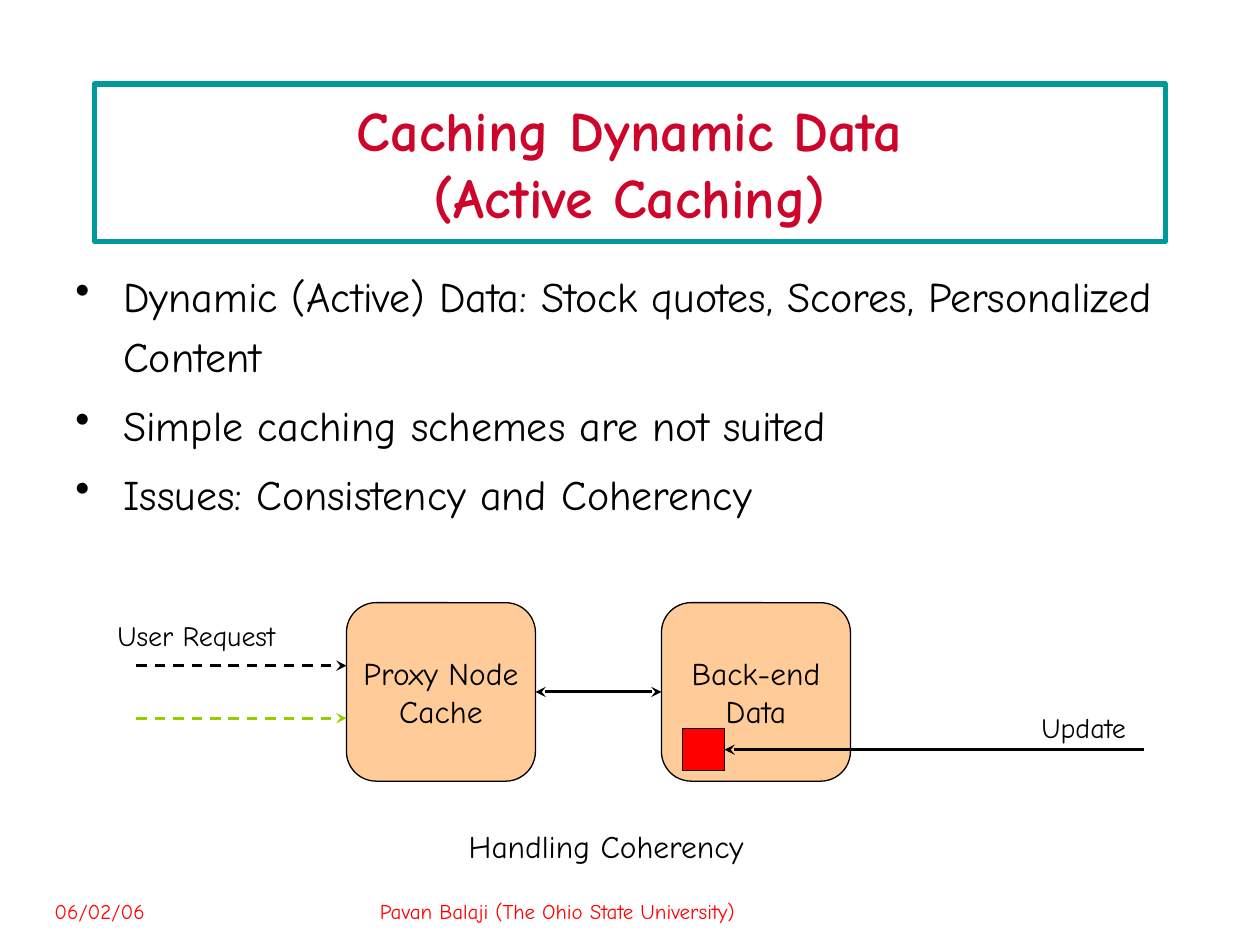
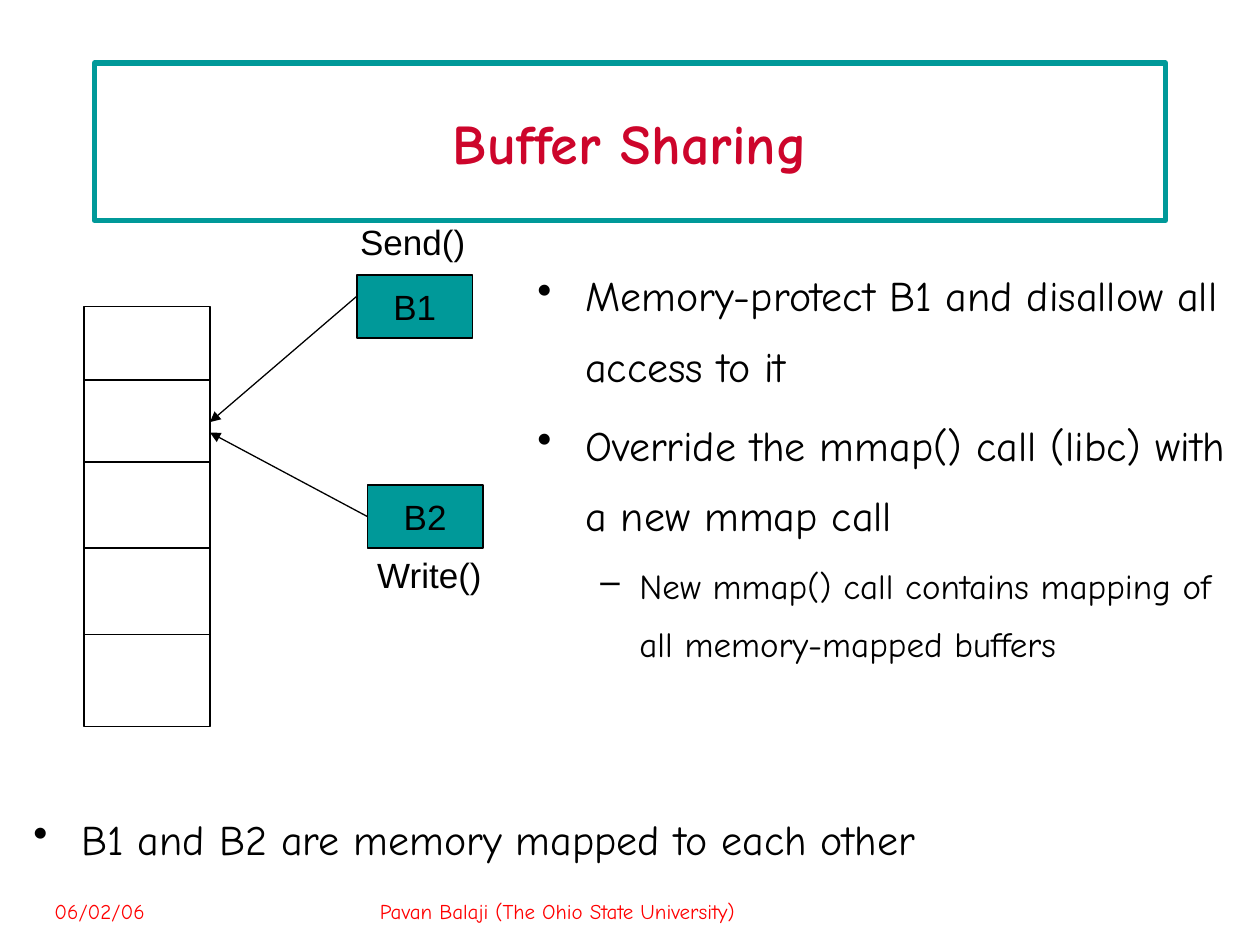
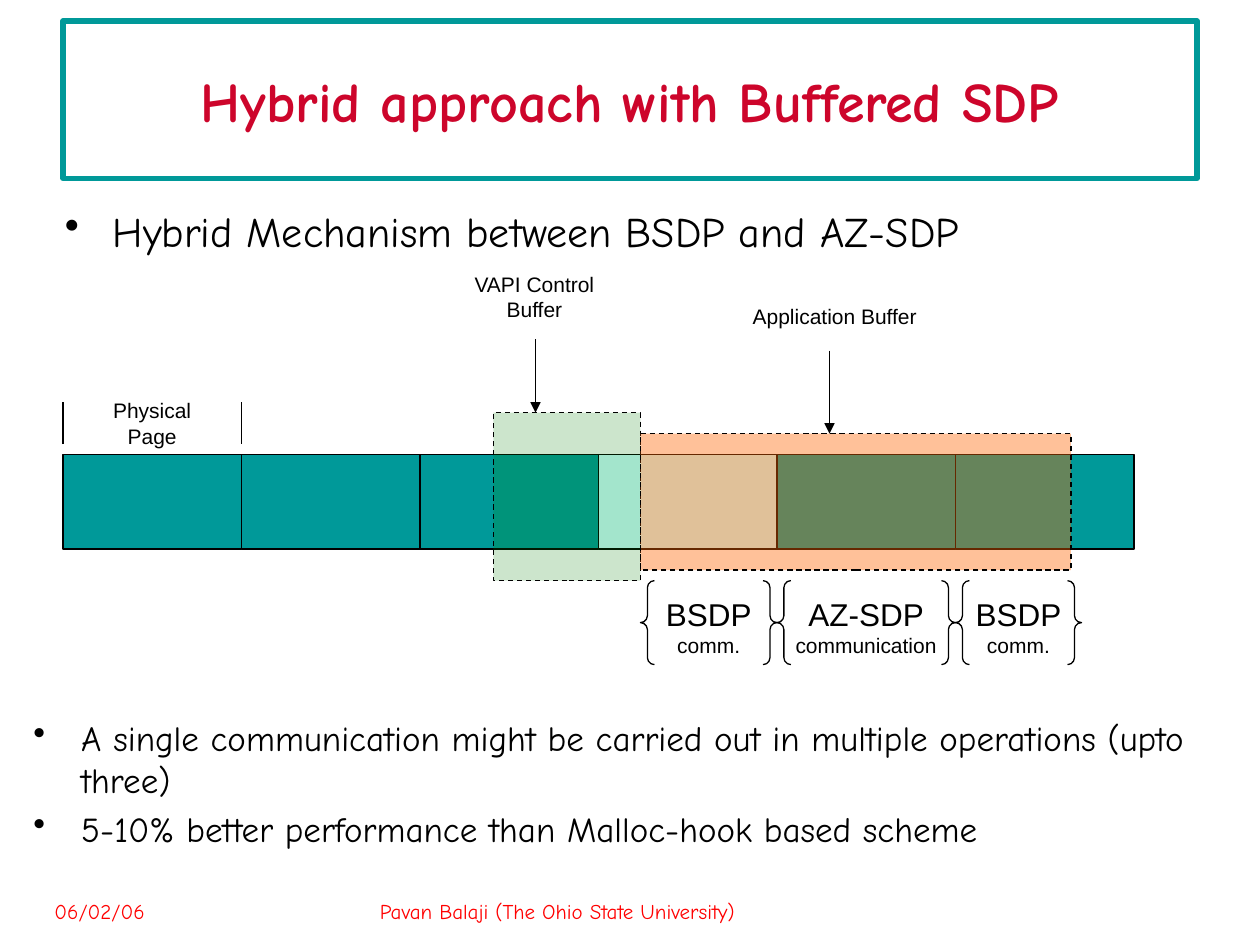
import pptx
import pptx.dml.color
import pptx.enum.dml
import pptx.enum.shapes
import pptx.enum.text
import pptx.oxml.ns
import pptx.util
from lxml import etree

RGBColor = pptx.dml.color.RGBColor
SHAPE = pptx.enum.shapes.MSO_SHAPE
ALIGN = pptx.enum.text.PP_ALIGN
ANCHOR = pptx.enum.text.MSO_ANCHOR
DASH = pptx.enum.dml.MSO_LINE.DASH
TOP, LEFT, BOTTOM, RIGHT = range(4)

BLACK = RGBColor(0x00, 0x00, 0x00)
WHITE = RGBColor(0xFF, 0xFF, 0xFF)
TEAL = RGBColor(0x00, 0x99, 0x99)
CRIMSON = RGBColor(0xCD, 0x05, 0x2B)
RED = RGBColor(0xFF, 0x00, 0x00)
PEACH = RGBColor(0xFF, 0xCC, 0x99)
LIME = RGBColor(0x99, 0xCC, 0x00)
PALE_CYAN = RGBColor(0xCC, 0xFF, 0xFF)
GREEN = RGBColor(0x00, 0x80, 0x00)
ORANGE = RGBColor(0xFF, 0x66, 0x00)

COMIC = "Comic Neue"
ARIAL = "Arial"

COLUMNS, ROWS = 120, 90
CELL = pptx.util.Inches(10) // COLUMNS


def grid(*cells):
    """Turn counts of grid cells into lengths."""
    return [pptx.util.Emu(round(n * CELL)) for n in cells]


def add_xml(parent, tag, **attributes):
    return etree.SubElement(parent, pptx.oxml.ns.qn(tag), **attributes)


def set_bullet(p, char, margin, hanging):
    pPr = p._p.get_or_add_pPr()
    pPr.set("marL", str(pptx.util.Inches(margin)))
    pPr.set("indent", str(-pptx.util.Inches(hanging)))
    add_xml(pPr, "a:buChar", char=char)


def write(sp, paragraphs, size=18, font=COMIC, color=BLACK, bold=False,
          align=ALIGN.CENTER, anchor=ANCHOR.MIDDLE, wrap=False,
          spacing=None, before=0, bullet=None):
    """Fill a shape; a paragraph is a text or a (text, {size, bullet}) pair."""
    tf = sp.text_frame
    tf.word_wrap = wrap
    tf.vertical_anchor = anchor
    for i, item in enumerate(paragraphs):
        text, own = (item, {}) if isinstance(item, str) else item
        p = tf.add_paragraph() if i else tf.paragraphs[0]
        p.text = text
        p_size = own.get("size", size)
        p_bullet = own.get("bullet", bullet)
        if p_bullet:
            set_bullet(p, *p_bullet)
        p.alignment = align
        if spacing:
            p.line_spacing = spacing
        if before and i:
            p.space_before = pptx.util.Pt(before * p_size)
        for r in p.runs:
            r.font.size = pptx.util.Pt(p_size)
            r.font.name = font
            r.font.bold = bold
            r.font.color.rgb = color


def add_box(s, at, fill=None, kind=SHAPE.RECTANGLE, line=BLACK, width=0.75,
            dash=None, alpha=None, adjust=None):
    sp = s.shapes.add_shape(kind, *grid(*at))
    sp.shadow.inherit = False
    if fill is None:
        sp.fill.background()
    else:
        sp.fill.solid()
        sp.fill.fore_color.rgb = fill
    if alpha is not None:
        color = sp._element.spPr.find(".//" + pptx.oxml.ns.qn("a:srgbClr"))
        add_xml(color, "a:alpha", val=str(alpha * 1000))
    sp.line.color.rgb = line
    sp.line.width = pptx.util.Pt(width)
    if dash:
        sp.line.dash_style = dash
    if adjust is not None:
        sp.adjustments[0] = adjust
    return sp


def add_label(s, at, text, **fmt):
    sp = s.shapes.add_textbox(*grid(*at))
    write(sp, [text], **{"anchor": ANCHOR.TOP, "wrap": True, **fmt})


def add_line(s, start, end, color=BLACK, width=0.75, dash=None,
             head=None, tail=None, begin=None, finish=None):
    """Draw a line; begin and finish are (shape, side) pairs to join."""
    straight = pptx.enum.shapes.MSO_CONNECTOR.STRAIGHT
    c = s.shapes.add_connector(straight, *grid(*start, *end))
    if begin:
        c.begin_connect(*begin)
    if finish:
        c.end_connect(*finish)
    c.line.color.rgb = color
    c.line.width = pptx.util.Pt(width)
    if dash:
        c.line.dash_style = dash
    ln = c.line._get_or_add_ln()
    if head:
        add_xml(ln, "a:headEnd", type=head)
    if tail:
        add_xml(ln, "a:tailEnd", type=tail)
    add_xml(c._element.spPr, "a:effectLst")


def add_bullets(s, at, items, size=24, spacing=None):
    sp = s.shapes.add_textbox(*grid(*at))
    write(sp, items, size=size, spacing=spacing, before=0.2, wrap=True,
          align=ALIGN.LEFT, anchor=ANCHOR.TOP, bullet=("•", 0.38, 0.38))


def new_slide(prs, title, title_at):
    """Add a slide with the framed title and the footers."""
    s = prs.slides.add_slide(prs.slide_layouts[6])
    for at, text in (((4, 85, 28, 4), "06/02/06"),
                     ((35, 85, 50, 4), "Pavan Balaji (The Ohio State University)")):
        add_label(s, at, text, size=12, color=RED, align=ALIGN.LEFT)
    frame = add_box(s, title_at, WHITE, line=TEAL, width=3)
    write(frame, [title], size=32, color=CRIMSON, bold=True, wrap=True)
    return s


def active_caching(prs):
    s = new_slide(prs, "Caching Dynamic Data\n(Active Caching)", (9, 8, 102, 15))
    add_bullets(s, (6, 24.2, 108, 26.8), [
        "Dynamic (Active) Data: Stock quotes, Scores, Personalized Content",
        "Simple caching schemes are not suited",
        "Issues: Consistency and Coherency",
    ], spacing=1.2)

    nodes = []
    for x, lines in ((33, ["Proxy Node", "Cache"]), (63, ["Back-end", "Data"])):
        node = add_box(s, (x, 57.4, 18, 17), PEACH, SHAPE.ROUNDED_RECTANGLE)
        write(node, lines)
        nodes.append(node)
    proxy, backend = nodes
    add_line(s, (51, 65.9), (63, 65.9), width=1.75, head="stealth",
             tail="stealth", begin=(proxy, RIGHT), finish=(backend, LEFT))

    for y, color in ((63.4, BLACK), (68.4, LIME)):
        add_line(s, (13, y), (33, y), color, 1.5, DASH, tail="stealth")
    changed_data = add_box(s, (65, 69.4, 4, 4), RED)
    add_line(s, (109, 71.4), (69, 71.4), width=1.5, tail="stealth",
             finish=(changed_data, RIGHT))

    add_label(s, (10, 58.3, 19, 4.4), "User Request", size=16, align=ALIGN.LEFT)
    add_label(s, (98, 67.1, 11.4, 4.4), "Update", size=16, align=ALIGN.LEFT)
    add_label(s, (42.2, 78.2, 29.8, 4.8), "Handling Coherency", align=ALIGN.RIGHT)


def buffer_sharing(prs):
    s = new_slide(prs, "Buffer Sharing", (9, 6, 102, 15))
    add_bullets(s, (50, 23.2, 69, 46.8), [
        "Memory-protect B1 and disallow all access to it",
        "Override the mmap() call (libc) with a new mmap call",
        ("New mmap() call contains mapping of all memory-mapped buffers",
         {"size": 20, "bullet": ("–", 0.81, 0.31)}),
    ], spacing=1.4)

    add_box(s, (8, 29.2, 12, 40))
    for y in (36.2, 44, 52.2, 60.4):
        add_line(s, (8, y), (20, y))

    buffers = []
    for x, y, name in ((34, 26.2, "B1"), (35, 46.2, "B2")):
        buffer = add_box(s, (x, y, 11, 6), TEAL)
        write(buffer, [name], size=20, font=ARIAL)
        buffers.append(buffer)
    add_line(s, (34, 28.2), (20, 40.2), tail="triangle")
    add_line(s, (35, 49.2), (20, 41.2), tail="triangle", begin=(buffers[1], LEFT))

    for x, y, call in ((33.1, 20.4, "Send()"), (34.7, 52.1, "Write()")):
        add_label(s, (x, y, 12.4, 5.1), call, size=20, font=ARIAL, wrap=False)
    add_bullets(s, (2, 74, 103.2, 7.8),
                ["B1 and B2 are memory mapped to each other"], spacing=1.6)


def hybrid_approach(prs):
    s = new_slide(prs, "Hybrid approach with Buffered SDP", (6, 2, 108, 15))
    add_bullets(s, (5, 19, 108, 6), ["Hybrid Mechanism between BSDP and AZ-SDP"])

    page_width = 17
    for i, fill in enumerate([TEAL] * 3 + [PALE_CYAN] + [TEAL] * 2):
        add_box(s, (6 + i * page_width, 43.3, page_width, 9), fill)
    page_mark = add_box(s, (6, 38.3, page_width, 4), kind=SHAPE.DOUBLE_BRACE,
                        adjust=0)
    write(page_mark, ["Physical", "Page"], size=12, font=ARIAL)

    add_box(s, (47, 39.3, 14, 16), GREEN, dash=DASH, alpha=20)
    add_box(s, (61, 41.3, 41, 13), ORANGE, dash=DASH, alpha=40)
    add_line(s, (51, 32.3), (51, 39.3), tail="triangle")
    add_line(s, (79, 33.4), (79, 41.3), tail="triangle")
    add_label(s, (44, 25.3, 13.8, 8.4), "VAPI Control Buffer", size=12, font=ARIAL)
    add_label(s, (69.6, 28.3, 19.8, 3.6), "Application Buffer", size=12, font=ARIAL)

    x = 61
    for width, scheme, note in ((13, "BSDP", "comm."),
                                (17, "AZ-SDP", "communication"),
                                (12, "BSDP", "comm.")):
        brace = add_box(s, (x, 55.3, width, 8), kind=SHAPE.DOUBLE_BRACE,
                        adjust=0.083)
        write(brace, [scheme, (note, {"size": 12})], font=ARIAL)
        x += width

    add_bullets(s, (2, 67.6, 117.6, 17.4), [
        "A single communication might be carried out in multiple operations (upto three)",
        "5-10% better performance than Malloc-hook based scheme",
    ], size=20)


def main():
    prs = pptx.Presentation()
    prs.slide_width, prs.slide_height = grid(COLUMNS, ROWS)
    active_caching(prs)
    buffer_sharing(prs)
    hybrid_approach(prs)
    prs.save("out.pptx")


if __name__ == "__main__":
    main()
